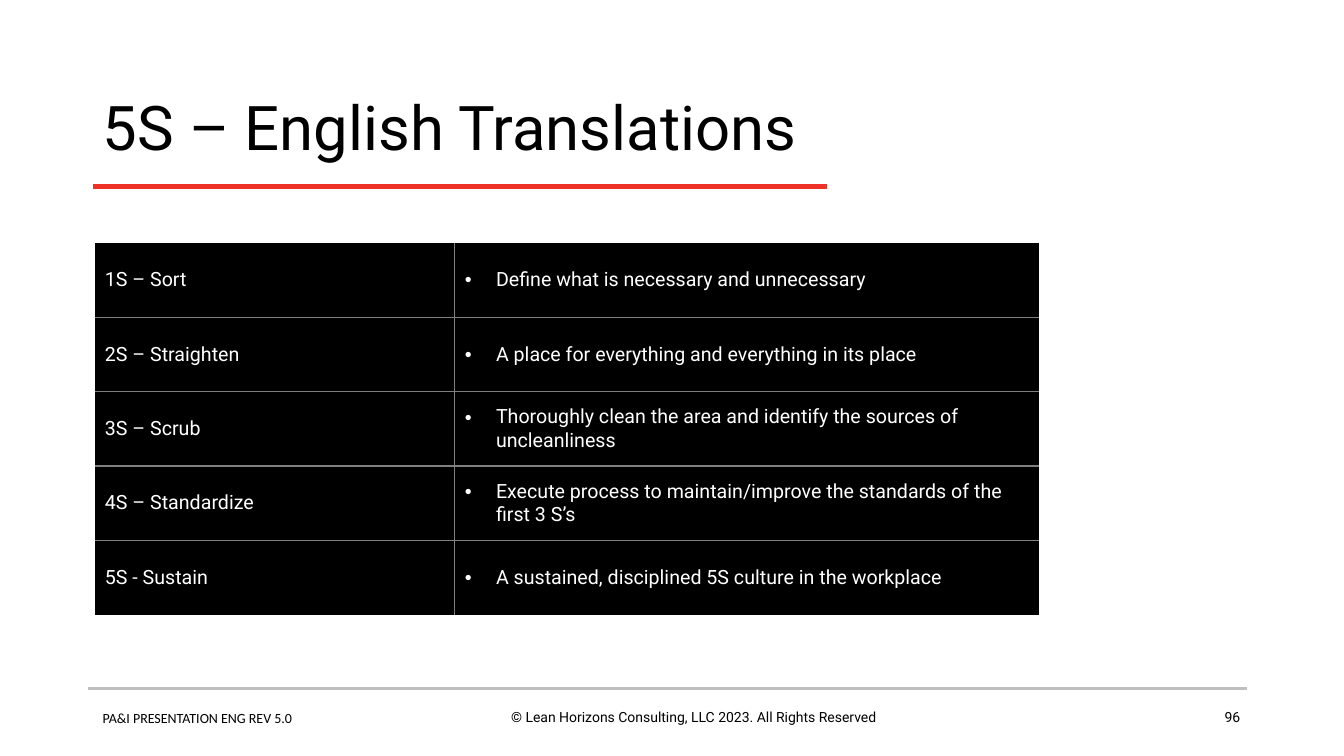
from pptx import Presentation
from pptx.dml.color import RGBColor
from pptx.enum.shapes import MSO_CONNECTOR as Connector
from pptx.enum.text import MSO_ANCHOR as Anchor, MSO_AUTO_SIZE as AutoSize, PP_ALIGN as Align
from pptx.oxml.ns import qn
from pptx.util import Inches, Pt
from lxml.etree import SubElement

GRID = 0.1  # inches per grid column and grid row
BLACK, WHITE, RED = "000000", "FFFFFF", "EE3228"
RULE_GREY, BORDER_GREY = "BFBFBF", "7F7F7F"

FIVE_S = [
    ("1S – Sort", "Define what is necessary and unnecessary"),
    ("2S – Straighten", "A place for everything and everything in its place"),
    ("3S – Scrub", "Thoroughly clean the area and identify the sources of uncleanliness"),
    ("4S – Standardize", "Execute process to maintain/improve the standards of the first 3 S’s"),
    ("5S - Sustain", "A sustained, disciplined 5S culture in the workplace"),
]


def units(*cells):
    return [Inches(cell * GRID) for cell in cells]


def color(hex_string):
    return RGBColor.from_string(hex_string)


class SlideBuilder:
    font_name = "Roboto"

    def __init__(self, slide):
        self.slide = slide

    def style(self, paragraph, size, ink=BLACK, align=Align.LEFT, font_name=None):
        paragraph.alignment = align
        font = paragraph.font
        font.name = font_name or self.font_name
        font.size = Pt(size)
        font.color.rgb = color(ink)

    def title(self, text, place, size):
        heading = self.slide.shapes.title
        heading.left, heading.top, heading.width, heading.height = units(*place)
        frame = heading.text_frame
        frame.text = text
        frame.auto_size = AutoSize.NONE
        frame.vertical_anchor = Anchor.MIDDLE
        frame.paragraphs[0].line_spacing = 0.9
        self.style(frame.paragraphs[0], size)

    def text(self, text, place, **style):
        frame = self.slide.shapes.add_textbox(*units(*place)).text_frame
        frame.word_wrap = True
        frame.text = text
        self.style(frame.paragraphs[0], 10, **style)

    def rule(self, left, right, row, ink, weight):
        line = self.slide.shapes.add_connector(
            Connector.STRAIGHT, *units(left, row, right, row))
        line.line.color.rgb = color(ink)
        line.line.width = Pt(weight)
        SubElement(line._element.spPr, qn("a:effectLst"))

    def border(self, cell, side, visible):
        edge = SubElement(cell._tc.get_or_add_tcPr(), qn(f"a:ln{side}"),
                          w=str(Pt(1)))
        if visible:
            fill = SubElement(edge, qn("a:solidFill"))
            SubElement(fill, qn("a:srgbClr"), val=BORDER_GREY)
        else:
            SubElement(edge, qn("a:noFill"))

    def bullet(self, paragraph):
        properties = paragraph._p.get_or_add_pPr()
        indent = Inches(0.31)
        properties.set("marL", str(indent))
        properties.set("indent", str(-indent))
        SubElement(properties, qn("a:buFont"), typeface="Arial")
        SubElement(properties, qn("a:buChar"), char="•")

    def table(self, rows, left, top, widths, row_height):
        table = self.slide.shapes.add_table(
            len(rows), len(widths),
            *units(left, top, sum(widths), row_height * len(rows))).table
        table.first_row = table.horz_banding = False
        for column, width in zip(table.columns, units(*widths)):
            column.width = width
        last_row, last_column = len(rows) - 1, len(widths) - 1
        for r, texts in enumerate(rows):
            for c, text in enumerate(texts):
                cell = table.cell(r, c)
                cell.text = text
                cell.vertical_anchor = Anchor.MIDDLE
                # Only the inner edges are drawn
                inner = {"L": c > 0, "R": c < last_column, "T": r > 0, "B": r < last_row}
                for side, visible in inner.items():
                    self.border(cell, side, visible)
                cell.fill.solid()
                cell.fill.fore_color.rgb = color(BLACK)
                paragraph = cell.text_frame.paragraphs[0]
                if c == last_column:
                    self.bullet(paragraph)
                self.style(paragraph, 14, WHITE)


def main():
    deck = Presentation()
    deck.slide_width, deck.slide_height = Inches(13.33), Inches(7.5)
    page = SlideBuilder(deck.slides.add_slide(deck.slide_layouts[5]))

    # Heading
    page.title("5S – English Translations", (9.2, 7.4, 115, 11), 44)
    page.rule(9.2, 82, 18.5, RED, 3)

    # Translations
    page.table(FIVE_S, 9.4, 24.1, (35.7, 58), 7.38)

    # Footer
    page.rule(8.7, 123.7, 68.3, RULE_GREY, 2)
    page.text("PA&I PRESENTATION ENG REV 5.0", (9.2, 69.9, 45.6, 4.4), font_name="Calibri")
    page.text("© Lean Horizons Consulting, LLC 2023. All Rights Reserved",
              (46, 69.8, 45.6, 4.4), align=Align.CENTER)
    page.text("96", (94, 69.8, 30, 3.6), align=Align.RIGHT)

    deck.save("out.pptx")


if __name__ == "__main__":
    main()
